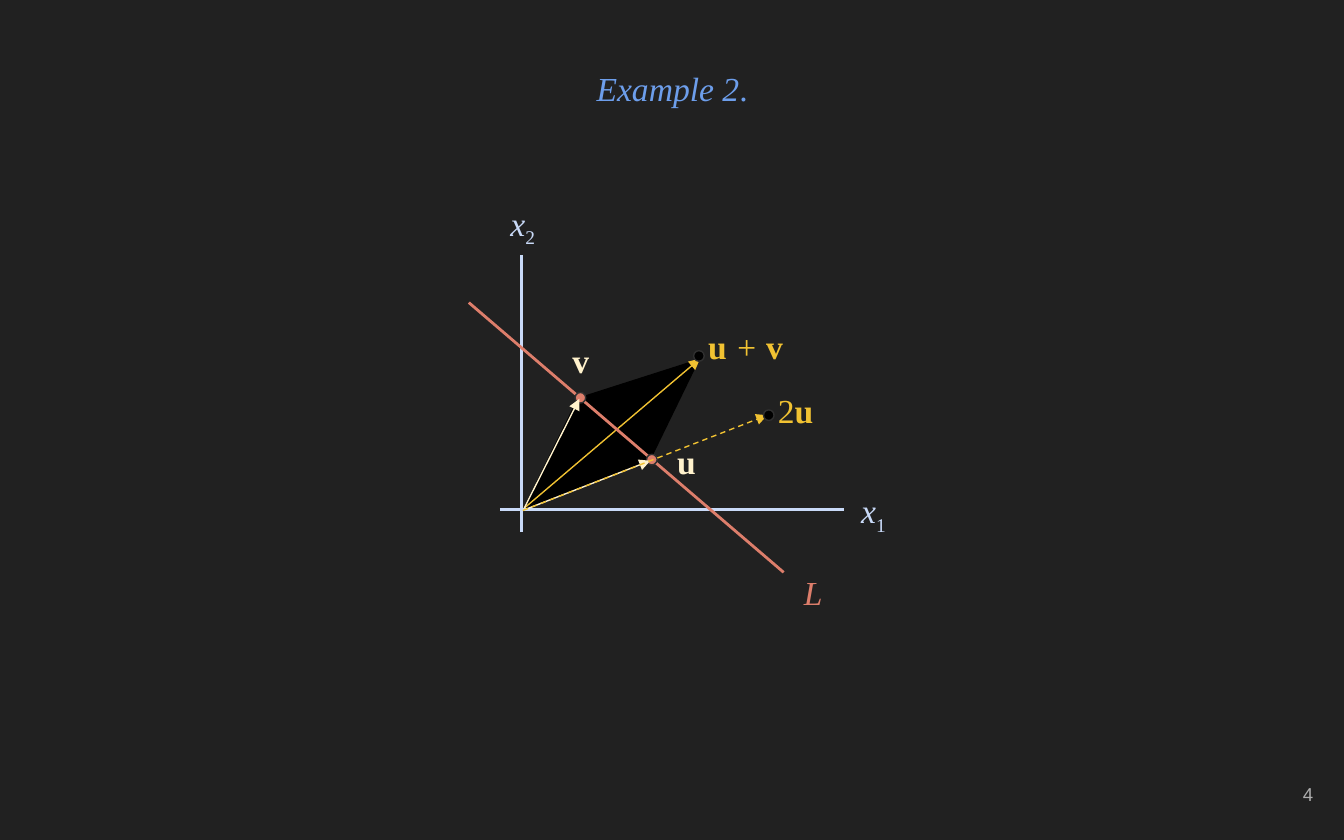
from pptx import Presentation
from pptx.dml.color import RGBColor
from pptx.enum.dml import MSO_LINE
from pptx.enum.shapes import MSO_CONNECTOR, MSO_SHAPE
from pptx.enum.text import MSO_ANCHOR, PP_ALIGN
from pptx.oxml.ns import qn
from pptx.util import Cm, Pt
from lxml.etree import SubElement

color = RGBColor.from_string
GOLD, CREAM, CORAL, PALE, BLACK = "F1C232", "FFF2CC", "DD7E6B", "C9DAF8", "000000"

deck = Presentation()
deck.slide_width, deck.slide_height = Cm(25.4), Cm(15.88)
slide = deck.slides.add_slide(deck.slide_layouts[6])
slide.background.fill.solid()
slide.background.fill.fore_color.rgb = color("212121")
shapes = slide.shapes


def add_line(start, end, hue, width=0.75, arrow=True, dash=False):
    line = shapes.add_connector(
        MSO_CONNECTOR.STRAIGHT, *[Cm(n) for n in start + end])
    line.line.color.rgb = color(hue)
    line.line.width = Pt(width)
    if dash:
        line.line.dash_style = MSO_LINE.DASH
    if arrow:
        SubElement(line.line._get_or_add_ln(), qn("a:tailEnd"), type="triangle")
    SubElement(line._element.spPr, qn("a:effectLst"))


def add_text(box, parts, hue, size=18, font="Times New Roman",
             align=PP_ALIGN.CENTER, anchor=MSO_ANCHOR.TOP, space=1.15):
    """Each part is a text and its style: b bold, i italic, s subscript."""
    frame = shapes.add_textbox(*[Cm(n) for n in box]).text_frame
    frame.word_wrap = True
    frame.vertical_anchor = anchor
    frame.margin_left = frame.margin_right = Cm(0.25)
    frame.margin_top = frame.margin_bottom = Cm(0.25)
    para = frame.paragraphs[0]
    para.alignment = align
    para.line_spacing = space
    for text, style in parts:
        run = para.add_run()
        run.text = text
        run.font.name, run.font.size = font, Pt(size)
        run.font.color.rgb = color(hue)
        run.font.bold, run.font.italic = "b" in style, "i" in style
        if "s" in style:
            run._r.get_or_add_rPr().set("baseline", "-25000")


# Title and slide number
add_text((3.51, 0.94, 18.39, 1.47), [("Example 2", "i"), (".", "")], "6D9EEB",
         anchor=MSO_ANCHOR.MIDDLE, space=1.0)
add_text((23.55, 14.4, 1.52, 1.22), [("4", "")], "ADADAD", 10, "Arial",
         PP_ALIGN.RIGHT, MSO_ANCHOR.MIDDLE, 1.0)

# Parallelogram of u and v
root, tip_u, tip_v, tip_sum = (9.88, 9.63), (12.29, 8.71), (10.92, 7.52), (13.23, 6.78)
pen = shapes.build_freeform(Cm(root[0]), Cm(root[1]))
pen.add_line_segments([(Cm(x), Cm(y)) for x, y in (tip_v, tip_sum, tip_u)])
area = pen.convert_to_shape()
area.shadow.inherit = False
area.fill.solid()
area.fill.fore_color.rgb = color(BLACK)
area.line.fill.background()
add_line(root, tip_sum, GOLD)

# Axes and line L
add_line((9.45, 9.63), (15.95, 9.63), PALE, 1.5, arrow=False)
add_line((9.86, 10.06), (9.86, 4.83), PALE, 1.5, arrow=False)
add_line((8.86, 5.72), (14.81, 10.82), CORAL, 1.5, arrow=False)

# Points, each pair followed by the arrows that lie above it
red_dots = [(10.97, 7.52), (12.32, 8.69)]
black_dots = [(13.21, 6.73), (14.53, 7.85)]
arrows = [((9.91, 9.6), (10.95, 7.54), CREAM, False),
          ((9.88, 9.65), tip_u, CREAM, False),
          ((9.88, 9.65), (14.5, 7.85), GOLD, True)]
for dots, hue, above in [(red_dots, CORAL, arrows), (black_dots, BLACK, [])]:
    for x, y in dots:
        dot = shapes.add_shape(
            MSO_SHAPE.OVAL, Cm(x - 0.1), Cm(y - 0.1), Cm(0.2), Cm(0.2))
        dot.shadow.inherit = False
        dot.fill.solid()
        dot.fill.fore_color.rgb = color(hue)
        dot.line.color.rgb = color("303030")
        dot.line.width = Pt(0.75)
    for start, end, tint, dash in above:
        add_line(start, end, tint, dash=dash)

# Labels of the axes and of L
for x, y, parts, hue in [
    (15.95, 8.89, [("x", "i"), ("1", "s")], PALE),
    (9.32, 3.45, [("x", "i"), ("2", "s")], PALE),
    (14.81, 10.44, [("L", "i")], CORAL),
]:
    add_text((x, y, 1.12, 1.04), parts, hue)

# Labels of the vectors
for x, y, width, parts, hue in [
    (13.11, 5.79, 1.96, [("u ", "b"), ("+", "i"), (" v", "b")], GOLD),
    (14.3, 7.01, 1.47, [("2", ""), ("u", "b")], GOLD),
    (12.24, 7.98, 1.47, [("u", "b")], CREAM),
    (10.24, 6.07, 1.47, [("v", "b")], CREAM),
]:
    add_text((x, y, width, 1.22), parts, hue)

deck.save("out.pptx")
